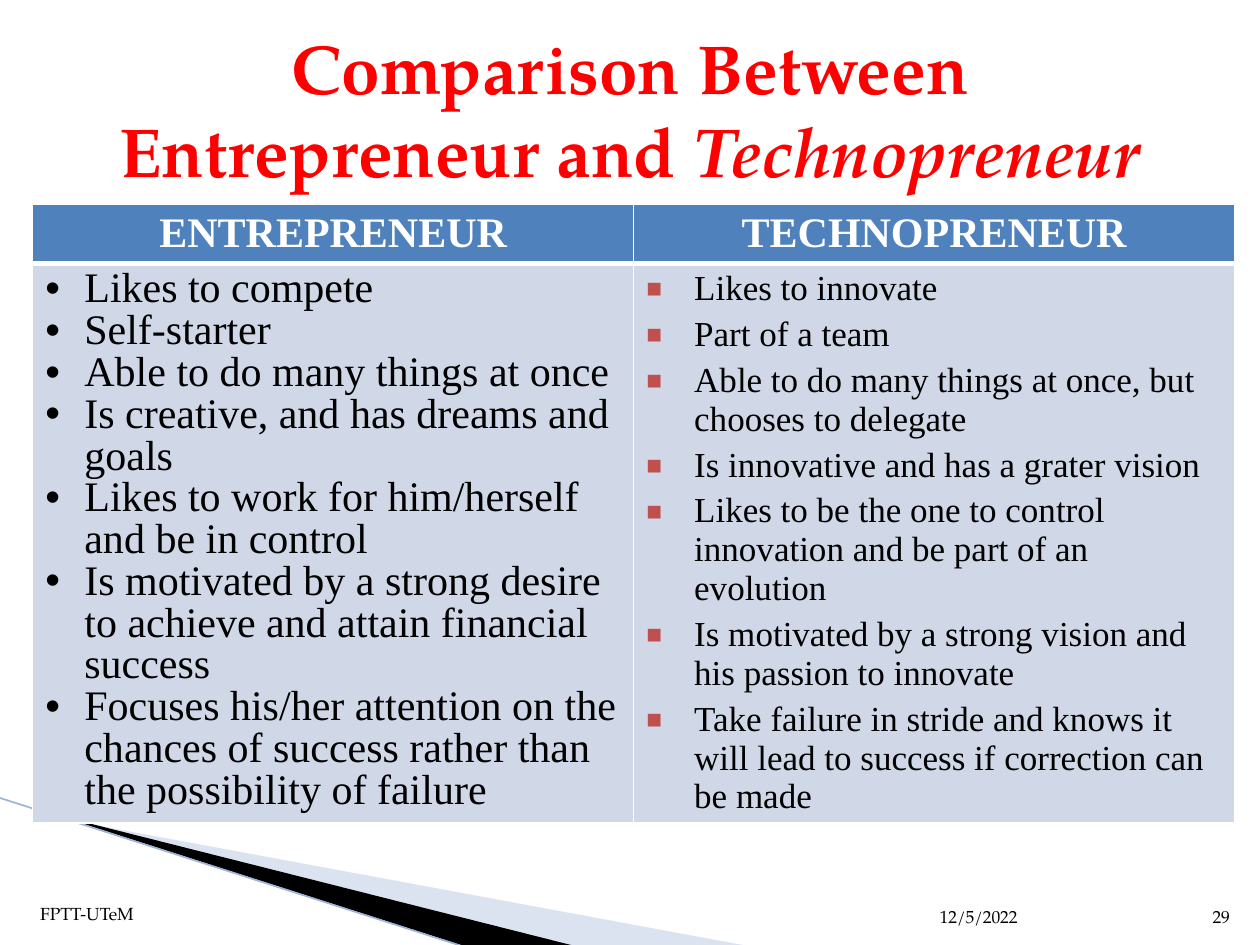
import pptx
import pptx.util
import pptx.dml.color
import pptx.enum.shapes
import pptx.enum.text
import pptx.oxml.ns
import lxml.etree

COLORS = {
    "title": "FF0000", "text": "000000", "white": "FFFFFF", "header": "4F81BD",
    "body": "D0D8E8", "square": "C0504D", "pale": "A7B9DB", "edge": "9EB3D6",
}
ALIGN = pptx.enum.text.PP_ALIGN
ANCHOR = pptx.enum.text.MSO_ANCHOR
Pt = pptx.util.Pt
rgb = pptx.dml.color.RGBColor.from_string


def add_xml(parent, tag, **attributes):
    return lxml.etree.SubElement(parent, pptx.oxml.ns.qn(tag), attributes)


def write(paragraph, text, size=10, font="Times New Roman", color="text",
          bold=False, italic=False, align=ALIGN.LEFT):
    paragraph.alignment = align
    run = paragraph.add_run()
    run.text = text
    run.font.size = Pt(size)
    run.font.name = font
    run.font.bold = bold
    run.font.italic = italic
    run.font.color.rgb = rgb(COLORS[color])


deck = pptx.Presentation()
deck.slide_width = pptx.util.Inches(10)
deck.slide_height = pptx.util.Inches(7.5)
W, H = deck.slide_width, deck.slide_height
slide = deck.slides.add_slide(deck.slide_layouts[5])

wedges = [
    ("pale", 40, [(55, 651), (595, 751), (456, 751), (55, 650)]),
    ("text", 100, [(53, 649), (457, 751), (372, 752), (54, 650)]),
]
for color, opacity, corners in wedges:
    builder = slide.shapes.build_freeform(*corners[0], scale=W / 1000)
    builder.add_line_segments(corners[1:], close=True)
    wedge = builder.convert_to_shape()
    wedge.shadow.inherit = False
    wedge.line.fill.background()
    wedge.fill.solid()
    wedge.fill.fore_color.rgb = rgb(COLORS[color])
    if opacity < 100:
        tint = wedge.fill._xPr.find(".//" + pptx.oxml.ns.qn("a:srgbClr"))
        add_xml(tint, "a:alpha", val=str(opacity * 1000))

edge = slide.shapes.add_connector(
    pptx.enum.shapes.MSO_CONNECTOR.STRAIGHT,
    int(W * -0.001), int(H * 0.844), int(W * 0.371), int(H * 1.003))
edge.line.color.rgb = rgb(COLORS["edge"])
edge.line.width = Pt(0.95)
add_xml(edge._element.spPr, "a:effectLst")

title = slide.shapes.title
title.left, title.top = int(W * 0.05), int(H * 0.04)
title.width, title.height = int(W * 0.9), int(H * 0.15)
title.text_frame.word_wrap = True
title.text_frame.auto_size = pptx.enum.text.MSO_AUTO_SIZE.NONE
title.text_frame.vertical_anchor = ANCHOR.MIDDLE
heading = title.text_frame.paragraphs[0]
for words, italic in [("Comparison Between Entrepreneur and ", False), ("Technopreneur", True)]:
    write(heading, words, size=39.6, font="TeX Gyre Pagella", color="title",
          bold=True, italic=italic, align=ALIGN.CENTER)

columns = [
    {
        "name": "ENTREPRENEUR", "size": 24, "spacing": 0.9, "before": 0,
        "indent": 0.31, "bullet": "•",
        "traits": [
            "Likes to compete",
            "Self-starter",
            "Able to do many things at once",
            "Is creative, and has dreams and goals",
            "Likes to work for him/herself and be in control",
            "Is motivated by a strong desire to achieve and attain financial success",
            "Focuses his/her attention on the chances of success rather than the possibility of failure",
        ],
    },
    {
        "name": "TECHNOPRENEUR", "size": 20, "spacing": 1.0, "before": 4,
        "indent": 0.38, "bullet": "■",
        "traits": [
            "Likes to innovate",
            "Part of a team",
            "Able to do many things at once, but chooses to delegate",
            "Is innovative and has a grater vision",
            "Likes to be the one to control innovation and be part of an evolution",
            "Is motivated by a strong vision and his passion to innovate",
            "Take failure in stride and knows it will lead to success if correction can be made",
        ],
    },
]
row_heights = [H * 0.06, H * 0.59]
comparison = slide.shapes.add_table(
    2, 2, int(W * 0.026), int(H * 0.216), int(W * 0.954), int(sum(row_heights))).table
for row, height in zip(comparison.rows, row_heights):
    row.height = int(height)

for index, column in enumerate(columns):
    comparison.columns[index].width = int(W * 0.477)
    header, body = comparison.cell(0, index), comparison.cell(1, index)
    write(header.text_frame.paragraphs[0], column["name"], size=24, color="white",
          bold=True, align=ALIGN.CENTER)

    for number, trait in enumerate(column["traits"]):
        frame = body.text_frame
        item = frame.add_paragraph() if number else frame.paragraphs[0]
        item.line_spacing = column["spacing"]
        item.space_before = Pt(column["before"] if number else 0)
        properties = item._p.get_or_add_pPr()
        indent = pptx.util.Inches(column["indent"])
        properties.set("marL", str(indent))
        properties.set("indent", str(-indent))
        if column["bullet"] == "■":
            bullet_color = add_xml(properties, "a:buClr")
            add_xml(bullet_color, "a:srgbClr", val=COLORS["square"])
            add_xml(properties, "a:buSzPct", val="75000")
        add_xml(properties, "a:buFont", typeface="Arial")
        add_xml(properties, "a:buChar", char=column["bullet"])
        write(item, trait, size=column["size"])

    for cell, fill, top, bottom in [(header, "header", 1, 3), (body, "body", 3, 1)]:
        borders = cell._tc.get_or_add_tcPr()
        for side, width in [("L", 1), ("R", 1), ("T", top), ("B", bottom)]:
            border = add_xml(borders, "a:ln" + side, w=str(Pt(width)))
            add_xml(add_xml(border, "a:solidFill"), "a:srgbClr", val=COLORS["white"])
        cell.fill.solid()
        cell.fill.fore_color.rgb = rgb(COLORS[fill])

footers = [
    ("12/5/2022", 0.736, 0.935, 0.21, 0.053, ALIGN.LEFT),
    ("FPTT-UTeM", 0.022, 0.933, 0.257, 0.051, ALIGN.LEFT),
    ("29", 0.946, 0.935, 0.04, 0.053, ALIGN.RIGHT),
]
for words, left, top, width, height, align in footers:
    footer = slide.shapes.add_textbox(
        int(W * left), int(H * top), int(W * width), int(H * height)).text_frame
    footer.word_wrap = True
    footer.vertical_anchor = ANCHOR.BOTTOM
    write(footer.paragraphs[0], words, font="TeX Gyre Pagella", align=align)

deck.save("out.pptx")
